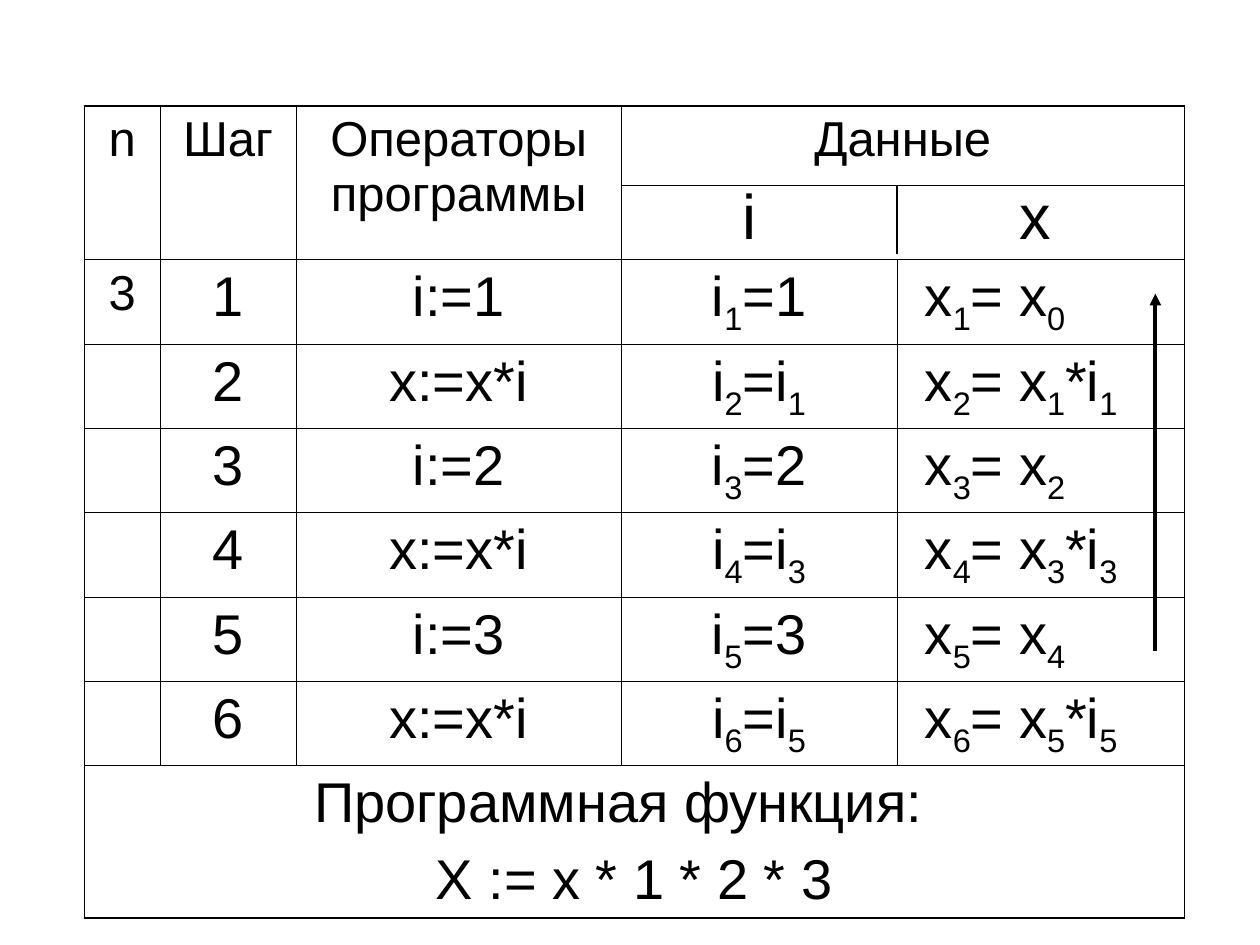
from lxml.etree import SubElement
from pptx import Presentation
from pptx.dml.color import RGBColor
from pptx.enum.shapes import MSO_CONNECTOR
from pptx.enum.text import PP_ALIGN
from pptx.oxml.ns import qn
from pptx.util import Inches, Pt

COLORS = {"ink": "000000"}
COLUMNS = [0.6, 1.08, 2.58, 2.19, 2.28]
ROWS = [1.22] + [0.67] * 6 + [1.21]
LEFT, TOP = 0.67, 0.84
RIGHT = LEFT + sum(COLUMNS)
DATA_LEFT = LEFT + sum(COLUMNS[:3])
X_LEFT = LEFT + sum(COLUMNS[:4])
HEADER_SPLIT = 1.47
HEADINGS = ["n", "Шаг", "Операторы программы", "Данные"]


class TraceSlide:
    font = "Arial"
    ink = RGBColor.from_string(COLORS["ink"])
    inner_border, outer_border = Pt(0.45), Pt(1.08)

    def __init__(self, slide):
        self.slide = slide

    def table(self):
        shape = self.slide.shapes.add_table(
            len(ROWS), len(COLUMNS), Inches(LEFT), Inches(TOP),
            Inches(sum(COLUMNS)), Inches(sum(ROWS)))
        table = shape.table
        table.first_row = table.horz_banding = False
        for column, width in zip(table.columns, COLUMNS):
            column.width = Inches(width)
        for row, height in zip(table.rows, ROWS):
            row.height = Inches(height)
        for row in range(len(ROWS)):
            for column in range(len(COLUMNS)):
                cell = table.cell(row, column)
                self.borders(cell, {
                    "lnL": column == 0, "lnR": column == len(COLUMNS) - 1,
                    "lnT": row == 0, "lnB": row == len(ROWS) - 1})
                cell.fill.background()
        return table

    def borders(self, cell, outer_sides):
        properties = cell._tc.get_or_add_tcPr()
        for side, is_outer in outer_sides.items():
            width = self.outer_border if is_outer else self.inner_border
            line = SubElement(properties, qn(f"a:{side}"), w=str(width))
            fill = SubElement(line, qn("a:solidFill"))
            SubElement(fill, qn("a:srgbClr"), val=COLORS["ink"])

    def text(self, para, text, size=32, before=8, align=PP_ALIGN.CENTER):
        """Fill a paragraph; the character after each underscore is a subscript."""
        para.alignment = align
        para.space_before = Pt(before)
        first, *others = text.split("_")
        pieces = [(first, False)]
        for part in others:
            pieces += [(part[0], True), (part[1:], False)]
        for piece, is_subscript in pieces:
            if piece:
                span = para.add_run()
                span.text = piece
                span.font.name = self.font
                span.font.size = Pt(size)
                span.font.color.rgb = self.ink
                if is_subscript:
                    span.font._element.set("baseline", "-25000")

    def tab_stops(self, para, positions):
        stops = SubElement(para._p.get_or_add_pPr(), qn("a:tabLst"))
        for position in positions:
            SubElement(stops, qn("a:tab"), pos=str(Inches(position)), algn="l")

    def line(self, start, end, width=0.75, arrow=False):
        connector = self.slide.shapes.add_connector(
            MSO_CONNECTOR.STRAIGHT, *map(Inches, start + end))
        connector.line.color.rgb = self.ink
        connector.line.width = Pt(width)
        properties = connector._element.spPr
        if arrow:
            SubElement(properties.find(qn("a:ln")), qn("a:tailEnd"), type="triangle")
        SubElement(properties, qn("a:effectLst"))


def fill_header(page, table):
    table.cell(0, 3).merge(table.cell(0, 4))
    for column, heading in enumerate(HEADINGS):
        page.text(table.cell(0, column).text_frame.paragraphs[0], heading, 28, 7)
    names = table.cell(0, 3).text_frame.add_paragraph()
    page.text(names, "\ti\tx", 36, 9, PP_ALIGN.LEFT)
    page.tab_stops(names, [0.86, 3.06])


def fill_steps(page, table):
    page.text(table.cell(1, 0).text_frame.paragraphs[0], "3", 28, 7)
    for step in range(1, 7):
        previous = step - 1
        if step % 2:
            value = (step + 1) // 2
            texts = [f"i:={value}", f"i_{step}={value}", f"x_{step}= x_{previous}"]
        else:
            texts = ["x:=x*i", f"i_{step}=i_{previous}",
                     f"x_{step}= x_{previous}*i_{previous}"]
        for column, text in enumerate([str(step)] + texts, start=1):
            cell = table.cell(step, column)
            align = PP_ALIGN.CENTER
            if column == 4:
                align = PP_ALIGN.LEFT
                cell.margin_left = Inches(0.22)
            page.text(cell.text_frame.paragraphs[0], text, align=align)


def fill_result(page, table):
    cell = table.cell(7, 0)
    cell.merge(table.cell(7, 4))
    cell.margin_right = Inches(0.35)
    page.text(cell.text_frame.paragraphs[0], "Программная функция:")
    formula = cell.text_frame.add_paragraph()
    page.text(formula, "X := x * 1 * 2 * 3")
    formula._p.get_or_add_pPr().set("marL", str(Inches(0.25)))


def main():
    deck = Presentation()
    deck.slide_width, deck.slide_height = Inches(10), Inches(7.5)
    page = TraceSlide(deck.slides.add_slide(deck.slide_layouts[6]))
    table = page.table()
    fill_header(page, table)
    fill_steps(page, table)
    fill_result(page, table)
    page.line((DATA_LEFT, HEADER_SPLIT), (RIGHT, HEADER_SPLIT))
    page.line((9.17, 5.17), (9.17, 2.33), width=2.25, arrow=True)
    page.line((X_LEFT, 2.02), (X_LEFT, HEADER_SPLIT))
    deck.save("out.pptx")


if __name__ == "__main__":
    main()
